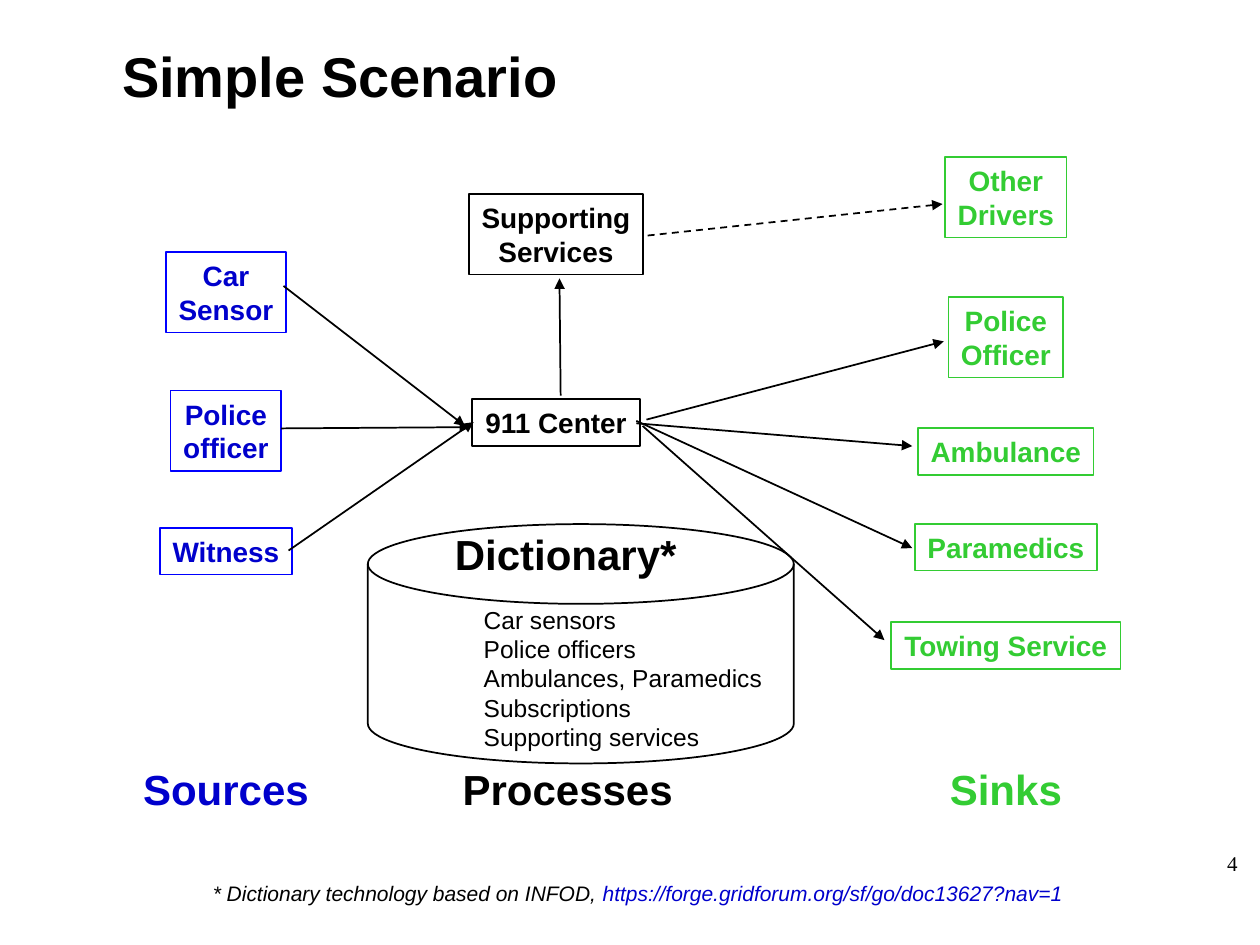
from lxml import etree
from pptx import Presentation
from pptx.dml.color import RGBColor
from pptx.enum.dml import MSO_LINE_DASH_STYLE as Dash
from pptx.enum.shapes import MSO_CONNECTOR as Connector, MSO_SHAPE as Shape
from pptx.enum.text import MSO_ANCHOR as Anchor, MSO_AUTO_SIZE as AutoSize, PP_ALIGN as Align
from pptx.oxml.ns import qn
from pptx.util import Pt

COLORS = {"black": "000000", "source": "0000CC", "source_line": "0000FF", "sink": "33CC33"}
SOURCE_X, PROCESS_X, SINK_X = 129.1, 317.7, 574.8


def color(name):
    return RGBColor.from_string(COLORS[name])


def write(paragraph, text, *, size, ink="black", bold=False, italic=False, font="Arial", align=Align.LEFT):
    paragraph.alignment = align
    run = paragraph.add_run()
    run.text = text
    run.font.name = font
    run.font.size = Pt(size)
    run.font.bold = bold
    run.font.italic = italic
    run.font.color.rgb = color(ink)


class SlideBuilder:
    line_width = 1
    inset = (7.2, 3.6)
    centered_inset = (6, 3.6)

    def __init__(self, slide):
        self.slide = slide

    def fill_text(self, shape, lines, anchor=Anchor.TOP, wrap=False, inset=inset, **style):
        frame = shape.text_frame
        frame.margin_left = frame.margin_right = Pt(inset[0])
        frame.margin_top = frame.margin_bottom = Pt(inset[1])
        frame.word_wrap = wrap
        frame.auto_size = AutoSize.NONE if wrap else AutoSize.SHAPE_TO_FIT_TEXT
        frame.vertical_anchor = anchor
        for index, line in enumerate(lines):
            paragraph = frame.add_paragraph() if index else frame.paragraphs[0]
            write(paragraph, line, **style)
        return frame

    def fill_centered(self, shape, lines, size, ink):
        self.fill_text(shape, lines, anchor=Anchor.MIDDLE, inset=self.centered_inset,
                       size=size, ink=ink, bold=True, align=Align.CENTER)

    def text_box(self, left, top, width, height):
        return self.slide.shapes.add_textbox(Pt(left), Pt(top), Pt(width), Pt(height))

    def text(self, lines, left, top, width, height, **options):
        return self.fill_text(self.text_box(left, top, width, height), lines, **options)

    def heading(self, text, center, top, width, ink="black"):
        shape = self.text_box(center - width / 2, top, width, 36.3)
        self.fill_centered(shape, [text], 24, ink)

    def outline(self, kind, left, top, width, height, line="black"):
        shape = self.slide.shapes.add_shape(kind, Pt(left), Pt(top), Pt(width), Pt(height))
        shape.shadow.inherit = False
        shape.fill.background()
        shape.line.color.rgb = color(line)
        shape.line.width = Pt(self.line_width)
        return shape

    def actor(self, lines, center, top, width, ink="black", line=None):
        height = 46 if len(lines) == 2 else 26.6
        shape = self.outline(Shape.RECTANGLE, center - width / 2, top, width, height, line or ink)
        self.fill_centered(shape, lines, 16, ink)

    def arrow(self, start, end, dashed=False):
        connector = self.slide.shapes.add_connector(
            Connector.STRAIGHT, *(Pt(value) for value in (*start, *end)))
        connector.line.color.rgb = color("black")
        connector.line.width = Pt(self.line_width)
        if dashed:
            connector.line.dash_style = Dash.DASH
        properties = connector._element.spPr
        etree.SubElement(properties.find(qn("a:ln")), qn("a:tailEnd"), type="triangle")
        etree.SubElement(properties, qn("a:effectLst"))


def main():
    presentation = Presentation()
    presentation.slide_width, presentation.slide_height = Pt(720), Pt(540)
    slide = presentation.slides.add_slide(presentation.slide_layouts[6])
    builder = SlideBuilder(slide)

    builder.text(["Simple Scenario"], 69.8, 23.8, 597, 74, wrap=True, inset=(0, 0), size=32, bold=True)

    for lines, top, width in (
        (["Car", "Sensor"], 144, 68.4),
        (["Police", "officer"], 223.2, 63.4),
        (["Witness"], 301.7, 75.6),
    ):
        builder.actor(lines, SOURCE_X, top, width, "source", "source_line")

    for lines, top, width in (
        (["Supporting", "Services"], 110.9, 99.4),
        (["911 Center"], 228.2, 95.8),
    ):
        builder.actor(lines, PROCESS_X, top, width)

    for lines, top, width in (
        (["Other", "Drivers"], 89.8, 69.4),
        (["Police", "Officer"], 169.8, 65.6),
        (["Ambulance"], 244.8, 100.2),
        (["Paramedics"], 299.5, 104),
        (["Towing Service"], 355.6, 131.2),
    ):
        builder.actor(lines, SINK_X, top, width, "sink")

    for text, center, width, ink in (
        ("Sources", SOURCE_X, 108.7, "source"),
        ("Processes", 324.4, 134.6, "black"),
        ("Sinks", SINK_X, 78.5, "sink"),
    ):
        builder.heading(text, center, 432.7, width, ink)

    for start, end in (
        ((162, 163.4), (265.7, 243.4)),
        ((160.6, 244.8), (268.6, 244.1)),
        ((164.9, 314.6), (270.7, 241.2)),
        ((320.4, 226.1), (319.7, 159.1)),
        ((369.4, 239.8), (539.3, 195.1)),
        ((363.6, 241.9), (521.3, 254.9)),
        ((363.6, 240.5), (521.3, 313.2)),
        ((367.2, 243.4), (505.4, 365.8)),
    ):
        builder.arrow(start, end)
    builder.arrow((370.1, 134.6), (538.6, 116.6), dashed=True)

    builder.outline(Shape.FLOWCHART_MAGNETIC_DISK, 210.2, 299.5, 243.4, 136.8)
    builder.heading("Dictionary*", 323.3, 298.1, 141.1)
    builder.text(["Car sensors", "Police officers", "Ambulances, Paramedics",
                  "Subscriptions", "Supporting services"], 269.3, 342, 173.5, 91.4, size=14)

    footnote = builder.text(["* Dictionary technology based on INFOD, "],
                            114.5, 499.9, 503.3, 21.6, size=12, italic=True)
    write(footnote.paragraphs[0], "https://forge.gridforum.org/sf/go/doc13627?nav=1",
          size=12, ink="source", italic=True)
    builder.text(["4"], 564.5, 475.2, 149.8, 36, anchor=Anchor.MIDDLE, wrap=True,
                 size=12, font="Times New Roman", align=Align.RIGHT)

    presentation.save("out.pptx")


if __name__ == "__main__":
    main()
